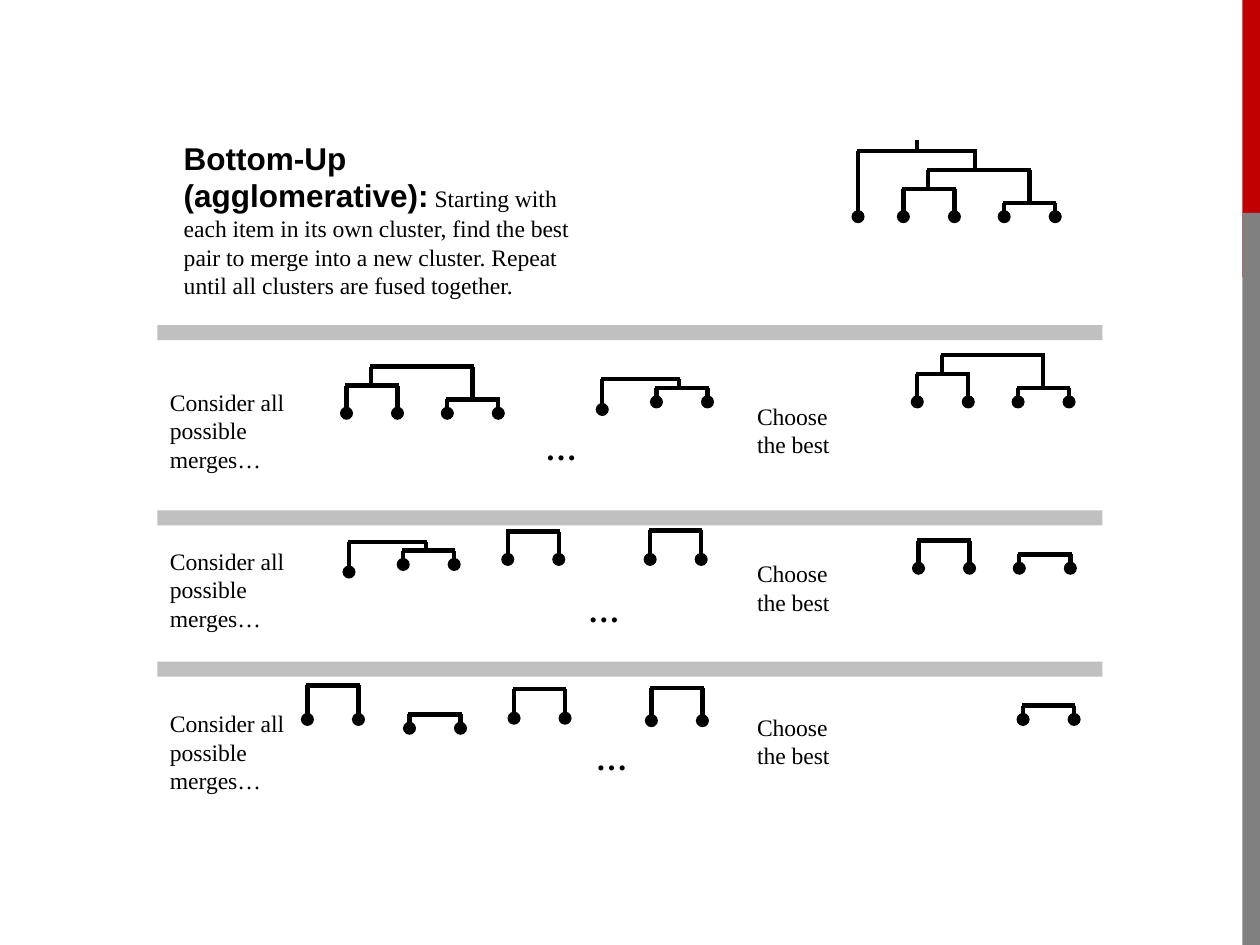
from dataclasses import dataclass

import pptx
import pptx.dml.color
import pptx.enum.shapes
import pptx.enum.text
import pptx.oxml
import pptx.oxml.ns
import pptx.util

BLACK = pptx.dml.color.RGBColor(0x00, 0x00, 0x00)
RED = pptx.dml.color.RGBColor(0xC0, 0x00, 0x00)
GREY = pptx.dml.color.RGBColor(0x80, 0x80, 0x80)
SILVER = pptx.dml.color.RGBColor(0xC0, 0xC0, 0xC0)

SLIDE_WIDTH = pptx.util.Inches(10)
SLIDE_HEIGHT = pptx.util.Inches(7.5)
COLUMNS, ROWS = 100, 75
PAIR_WIDTH = 4.05
CORNER = 0.1  # how far a bar reaches past its legs

HEADING = {"name": "Arial", "size": pptx.util.Pt(18), "bold": True}
BODY = {"name": "Times New Roman", "size": pptx.util.Pt(13.5), "bold": False}
DOTS = {"name": "Times New Roman", "size": pptx.util.Pt(18), "bold": True}


@dataclass(frozen=True)
class Box:
    left: float
    top: float
    width: float
    height: float


@dataclass(frozen=True)
class Branch:
    """A bar joining two legs; a leg ends in a dot when it is a leaf."""
    left: float
    right: float
    top: float
    left_foot: float
    right_foot: float
    left_leaf: bool = True
    right_leaf: bool = True


@dataclass(frozen=True)
class Step:
    divider_top: float
    merges_top: float
    best_top: float
    dots_left: float
    dots_top: float
    trees: tuple[list[Branch], ...]


def across(columns: float) -> int:
    return round(SLIDE_WIDTH * columns / COLUMNS)


def down(rows: float) -> int:
    return round(SLIDE_HEIGHT * rows / ROWS)


def place(box: Box) -> tuple[int, int, int, int]:
    return across(box.left), down(box.top), across(box.width), down(box.height)


def pair(left: float, foot: float, height: float) -> list[Branch]:
    return [Branch(left, left + PAIR_WIDTH, foot - height, foot, foot)]


def trio(left: float, foot: float) -> list[Branch]:
    """One leaf joined to a pair on its right."""
    return [
        Branch(left, left + 6.1, foot - 2.4, foot, foot - 1.7, right_leaf=False),
        *pair(left + 4.3, foot - 0.6, 1.1),
    ]


def quartet(left: float, foot: float) -> list[Branch]:
    """A tall pair joined to a short one."""
    return [
        *pair(left, foot, 2.2),
        *pair(left + 8, foot, 1.1),
        Branch(left + 1.95, left + 10, foot - 3.7, foot - 2.2, foot - 1.1, False, False),
    ]


def add_block(slide: pptx.slide.Slide, box: Box, color: pptx.dml.color.RGBColor) -> None:
    shape = slide.shapes.add_shape(pptx.enum.shapes.MSO_SHAPE.RECTANGLE, *place(box))
    shape.shadow.inherit = False
    shape.fill.solid()
    shape.fill.fore_color.rgb = color
    shape.line.fill.background()


def add_text(slide: pptx.slide.Slide, box: Box, runs: list[tuple[str, dict]],
             wrap: bool = True) -> None:
    frame = slide.shapes.add_textbox(*place(box)).text_frame
    frame.word_wrap = wrap
    frame.auto_size = pptx.enum.text.MSO_AUTO_SIZE.SHAPE_TO_FIT_TEXT
    for text, font_format in runs:
        run = frame.paragraphs[0].add_run()
        run.text = text
        run.font.color.rgb = BLACK
        for attribute, value in font_format.items():
            setattr(run.font, attribute, value)


def add_line(group: pptx.shapes.group.GroupShape, start: tuple[float, float],
             end: tuple[float, float], leaf: bool = False) -> None:
    line = group.shapes.add_connector(
        pptx.enum.shapes.MSO_CONNECTOR.STRAIGHT,
        across(start[0]), down(start[1]), across(end[0]), down(end[1]))
    line.line.color.rgb = BLACK
    line.line.width = pptx.util.Pt(2.5)
    properties = line._element.spPr
    if leaf:
        outline = properties.find(pptx.oxml.ns.qn("a:ln"))
        outline.append(outline.makeelement(pptx.oxml.ns.qn("a:headEnd"), {"type": "oval"}))
    properties.append(properties.makeelement(pptx.oxml.ns.qn("a:effectLst"), {}))


def add_tree(slide: pptx.slide.Slide, branches: list[Branch]) -> pptx.shapes.group.GroupShape:
    group = slide.shapes.add_group_shape()
    for branch in branches:
        add_line(group, (branch.left, branch.left_foot), (branch.left, branch.top),
                 branch.left_leaf)
        add_line(group, (branch.right, branch.right_foot), (branch.right, branch.top),
                 branch.right_leaf)
        add_line(group, (branch.right + CORNER, branch.top), (branch.left - CORNER, branch.top))
    return group


def add_step(slide: pptx.slide.Slide, step: Step) -> None:
    add_block(slide, Box(12.5, step.divider_top, 75, 1.2), SILVER)
    add_text(slide, Box(12.5, step.merges_top, 12.2, 7.8),
             [("Consider all possible merges…", BODY)])
    add_text(slide, Box(59.1, step.best_top, 9.1, 5.6), [("Choose the best", BODY)])
    add_text(slide, Box(step.dots_left, step.dots_top, 4.5, 4), [("…", DOTS)], wrap=False)
    for tree in step.trees:
        add_tree(slide, tree)


STEPS = [
    Step(25.8, 30.3, 31.4, 42.3, 33.6,
         (quartet(27.5, 32.8), trio(47.8, 32.5), quartet(72.8, 31.9))),
    Step(40.5, 42.9, 43.9, 45.7, 46.4,
         (trio(27.7, 45.4), pair(40.3, 44.4, 2.2), pair(51.6, 44.4, 2.3),
          pair(72.9, 45.1, 2.2), pair(80.9, 45.1, 1.1))),
    Step(52.5, 55.8, 56.1, 46.3, 58.2,
         (pair(24.4, 57.1, 2.7), pair(32.5, 57.8, 1.1), pair(40.8, 57, 2.3),
          pair(51.7, 57.2, 2.6), pair(81.2, 57.1, 1.1))),
]


def main() -> None:
    presentation = pptx.Presentation()
    presentation.slide_width = SLIDE_WIDTH
    presentation.slide_height = SLIDE_HEIGHT
    slide = presentation.slides.add_slide(presentation.slide_layouts[6])

    add_block(slide, Box(98.6, 0, 1.4, 22), RED)
    add_block(slide, Box(98.6, 16.9, 1.4, 58.1), GREY)
    add_text(slide, Box(13.6, 10.5, 34.8, 13.9), [
        ("Bottom-Up (agglomerative):", HEADING),
        (" Starting with each item in its own cluster, find the best pair to merge "
         "into a new cluster. Repeat until all clusters are fused together.", BODY),
    ])
    root = Branch(68.1, 77.4, 12, 17.2, 13.5, right_leaf=False)
    full_tree = add_tree(slide, [*quartet(71.7, 17.2), root])
    add_line(full_tree, (72.8, 12), (72.8, 11.1))
    for step in STEPS:
        add_step(slide, step)
    presentation.save("out.pptx")


if __name__ == "__main__":
    main()
